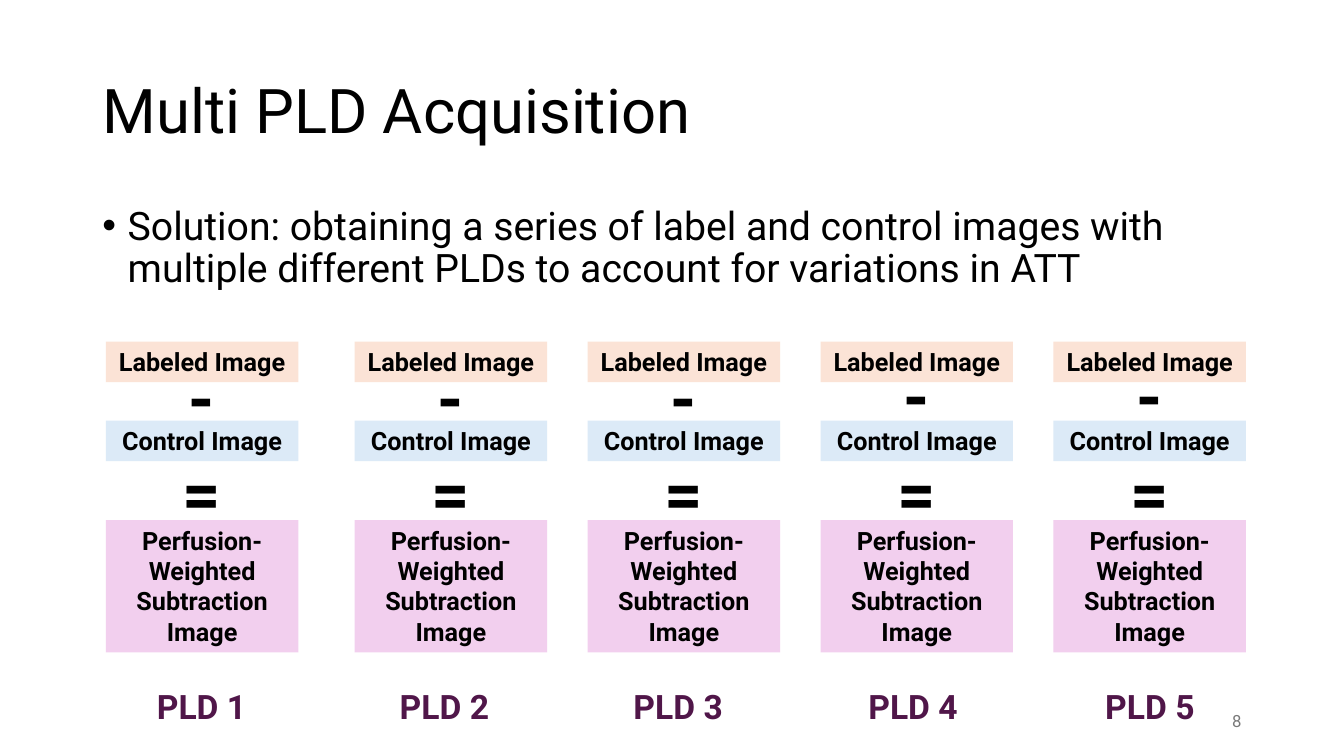
from lxml import etree
from pptx import Presentation
from pptx.dml.color import RGBColor
from pptx.enum import shapes, text
from pptx.oxml import ns
from pptx.util import Cm, Pt

BLACK = RGBColor(0x00, 0x00, 0x00)
GREY = RGBColor(0x79, 0x79, 0x79)
PLUM = RGBColor(0x50, 0x16, 0x49)
PEACH = RGBColor(0xFB, 0xE3, 0xD6)
SKY = RGBColor(0xDC, 0xEA, 0xF7)
PINK = RGBColor(0xF2, 0xCF, 0xEE)

IMAGE_WIDTH = 4.85
FIRST_LEFT, SECOND_LEFT, COLUMN_STEP = 2.67, 8.94, 5.87
PLD_LEFTS = (3.2, 9.32, 15.21, 21.13, 27.1)
MINUS_TOPS = (8.86, 8.86, 8.86, 8.81, 8.81)
IMAGES = (
    ("Labeled Image", 8.61, 1.02, PEACH),
    ("Control Image", 10.6, 1.02, SKY),
    ("Perfusion-Weighted Subtraction Image", 13.11, 3.33, PINK),
)


def write(frame, words, size=18, color=BLACK, bold=False,
          align=text.PP_ALIGN.LEFT, anchor=text.MSO_ANCHOR.TOP,
          line_spacing=1.0, bullet=None):
    frame.word_wrap = True
    frame.vertical_anchor = anchor
    paragraph = frame.paragraphs[0]
    paragraph.alignment = align
    paragraph.line_spacing = line_spacing
    if bullet:
        properties = paragraph._p.get_or_add_pPr()
        properties.set("marL", str(Cm(0.64)))
        properties.set("indent", str(Cm(-0.64)))
        typeface = etree.SubElement(properties, ns.qn("a:buFont"))
        typeface.set("typeface", "Arial")
        etree.SubElement(properties, ns.qn("a:buChar")).set("char", bullet)
    run = paragraph.add_run()
    run.text = words
    run.font.name = "Roboto"
    run.font.size = Pt(size)
    run.font.bold = bold
    run.font.color.rgb = color


def add_words(parent, words, left, top, width, height, **style):
    box = parent.add_textbox(Cm(left), Cm(top), Cm(width), Cm(height))
    write(box.text_frame, words, **style)


def add_image_box(parent, words, left, top, height, fill):
    box = parent.add_shape(shapes.MSO_SHAPE.RECTANGLE, Cm(left), Cm(top),
                           Cm(IMAGE_WIDTH), Cm(height))
    box.shadow.inherit = False
    box.fill.solid()
    box.fill.fore_color.rgb = fill
    box.line.fill.background()
    write(box.text_frame, words, bold=True, align=text.PP_ALIGN.CENTER)


def add_subtraction(slide, left, minus_top):
    subtraction = slide.shapes.add_group_shape().shapes
    for words, top, height, fill in IMAGES:
        add_image_box(subtraction, words, left, top, height, fill)
    for sign, top in (("-", minus_top), ("=", 11.25)):
        add_words(subtraction, sign, left + 1.42, top, 2, 2.31,
                  size=48, bold=True, align=text.PP_ALIGN.CENTER)


def main():
    deck = Presentation()
    deck.slide_width, deck.slide_height = Cm(33.87), Cm(19.05)
    slide = deck.slides.add_slide(deck.slide_layouts[6])

    add_words(slide.shapes, "Multi PLD Acquisition", 2.33, 1.02, 29.21, 3.68,
              size=44, anchor=text.MSO_ANCHOR.MIDDLE, line_spacing=0.9)
    add_words(slide.shapes,
              "Solution: obtaining a series of label and control images with "
              "multiple different PLDs to account for variations in ATT",
              2.33, 5.08, 29.21, 12.09, size=28, line_spacing=0.9, bullet="•")

    for index, (pld_left, minus_top) in enumerate(zip(PLD_LEFTS, MINUS_TOPS)):
        left = SECOND_LEFT + COLUMN_STEP * (index - 1) if index else FIRST_LEFT
        add_subtraction(slide, left, minus_top)
        add_words(slide.shapes, f"PLD {index + 1}", pld_left, 17.17, 3.76, 1.27,
                  size=24, color=PLUM, bold=True, align=text.PP_ALIGN.CENTER)

    add_words(slide.shapes, "8", 23.92, 17.66, 7.62, 1.01, size=12, color=GREY,
              align=text.PP_ALIGN.RIGHT, anchor=text.MSO_ANCHOR.MIDDLE)
    deck.save("out.pptx")


if __name__ == "__main__":
    main()
